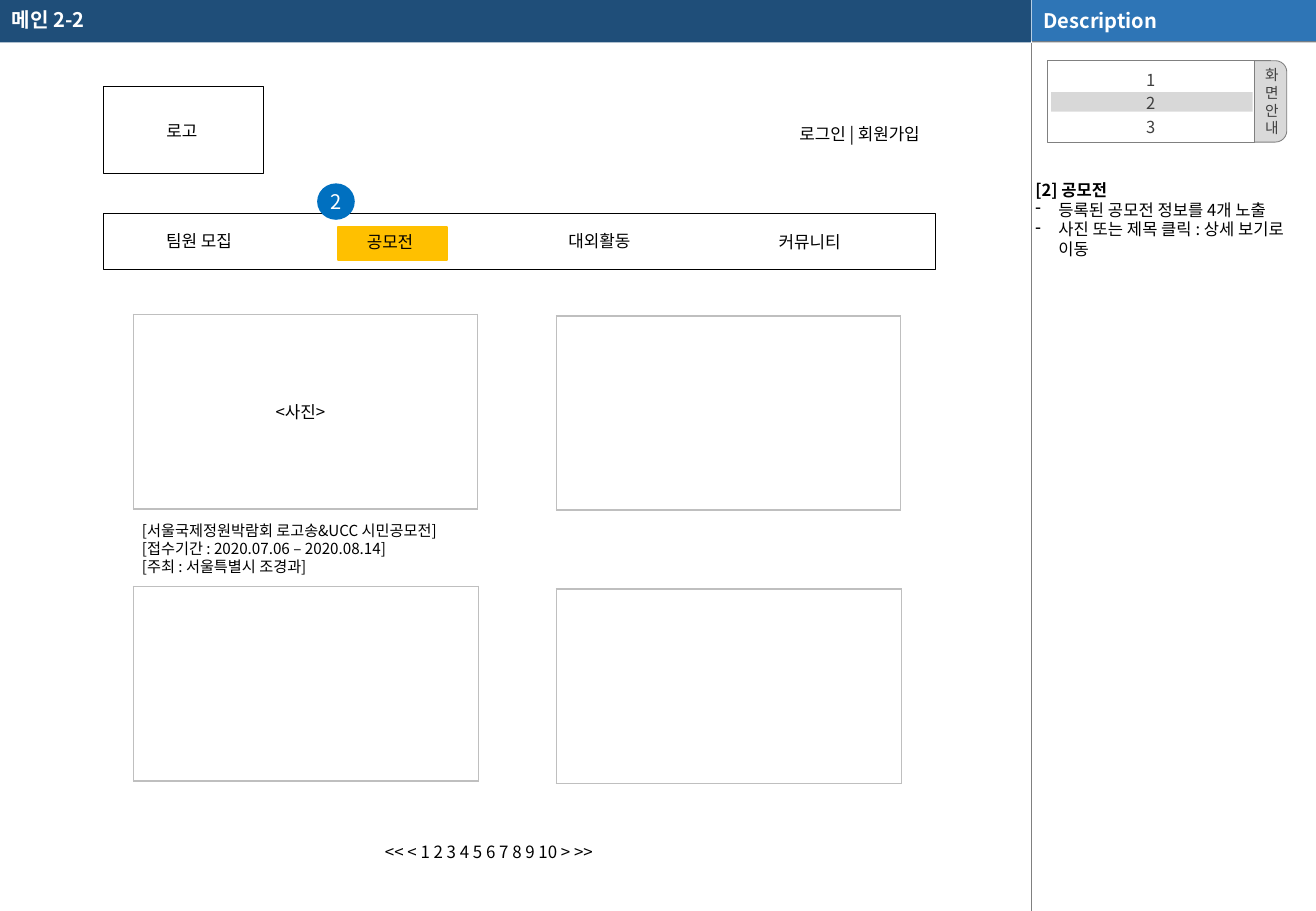
from lxml.etree import SubElement
from pptx import Presentation
from pptx.dml.color import RGBColor
from pptx.enum.shapes import MSO_CONNECTOR, MSO_SHAPE
from pptx.enum.text import MSO_ANCHOR, PP_ALIGN
from pptx.oxml.ns import qn
from pptx.util import Inches, Pt

FONT = "Noto Sans CJK KR"
BLACK = RGBColor(0x00, 0x00, 0x00)
WHITE = RGBColor(0xFF, 0xFF, 0xFF)
NAVY = RGBColor(0x1F, 0x4E, 0x79)
BLUE = RGBColor(0x2E, 0x75, 0xB6)
MARKER_BLUE = RGBColor(0x00, 0x70, 0xC0)
YELLOW = RGBColor(0xFF, 0xC0, 0x00)
DARK = RGBColor(0x40, 0x40, 0x40)
GRAY = RGBColor(0x80, 0x80, 0x80)
LIGHT = RGBColor(0xD9, 0xD9, 0xD9)
BORDER = "BFBFBF"

SLIDE_W, SLIDE_H = 10.83, 7.5
PANEL_X, HEADER_H = 8.49, 0.35

TITLE = "메인 2-2"
PANEL_TITLE = "Description"
LABELS = [  # text, left, top, width
    ("로고", 1.27, 0.94, 0.48),
    ("로그인 | 회원가입", 6.48, 0.97, 1.32),
    ("팀원 모집", 1.27, 1.85, 0.84),
    ("공모전", 2.92, 1.86, 0.68),
    ("대외활동", 4.58, 1.85, 0.81),
    ("커뮤니티", 6.31, 1.86, 0.76),
    ("<사진>", 2.17, 3.26, 0.8),
    ("<< < 1 2 3 4 5 6 7 8 9 10 > >>", 3.07, 6.88, 2.57),
]
CONTEST = ["[서울국제정원박람회 로고송&UCC 시민공모전]",
           "[접수기간 : 2020.07.06 – 2020.08.14]",
           "[주최 : 서울특별시 조경과]"]
PHOTO_FRAMES = [  # left, top, width
    (1.1, 2.59, 2.83), (4.58, 2.6, 2.83),
    (1.1, 4.83, 2.84), (4.58, 4.85, 2.84),
]
PHOTO_H = 1.6
GUIDE_PAGES = ["1", "2", "3"]
GUIDE_TAB = ["화", "면", "안", "내"]
NOTES_HEAD = "[2] 공모전"
NOTES = ["등록된 공모전 정보를 4개 노출",
         "사진 또는 제목 클릭 : 상세 보기로 이동"]


def write(sp, lines, size, color=BLACK, bold=False, align=PP_ALIGN.LEFT,
          anchor=MSO_ANCHOR.TOP, insets=(0.1, 0.05, 0.1, 0.05), spacing=None):
    tf = sp.text_frame
    tf.word_wrap = True
    tf.vertical_anchor = anchor
    tf.margin_left, tf.margin_top, tf.margin_right, tf.margin_bottom = map(Inches, insets)
    tf.text = "\n".join(lines)
    for p in tf.paragraphs:
        p.alignment = align
        p.line_spacing = spacing
        for r in p.runs:
            r.font.size, r.font.bold, r.font.name = Pt(size), bold, FONT
            r.font.color.rgb = color
            SubElement(r.font._element, qn("a:ea"), typeface=FONT)
    return tf


def add_text(x, y, w, h, lines, size, **style):
    sp = s.shapes.add_textbox(Inches(x), Inches(y), Inches(w), Inches(h))
    return write(sp, lines, size, **style)


def add_box(x, y, w, h, fill=None, line=None, line_w=0.75, kind=MSO_SHAPE.RECTANGLE):
    sp = s.shapes.add_shape(kind, Inches(x), Inches(y), Inches(w), Inches(h))
    sp.shadow.inherit = False
    if fill is None:
        sp.fill.background()
    else:
        sp.fill.solid()
        sp.fill.fore_color.rgb = fill
    if line is None:
        sp.line.fill.background()
    else:
        sp.line.color.rgb = line
        sp.line.width = Pt(line_w)
    return sp


def add_divider(y1, y2, color):
    c = s.shapes.add_connector(MSO_CONNECTOR.STRAIGHT, Inches(PANEL_X), Inches(y1),
                               Inches(PANEL_X), Inches(y2))
    c.line.color.rgb = color
    c.line.width = Pt(0.25)
    SubElement(c._element.spPr, qn("a:effectLst"))


def add_photo_frame(x, y, w):
    """Single-cell table with a thin border on every side."""
    table = s.shapes.add_table(1, 1, Inches(x), Inches(y), Inches(w), Inches(PHOTO_H)).table
    table.first_row = table.horz_banding = False
    cell = table.cell(0, 0)
    tcPr = cell._tc.get_or_add_tcPr()
    for side in ("a:lnL", "a:lnR", "a:lnT", "a:lnB"):
        ln = SubElement(tcPr, qn(side), w=str(Pt(1)))
        SubElement(SubElement(ln, qn("a:solidFill")), qn("a:srgbClr"), val=BORDER)
    cell.fill.background()


prs = Presentation()
prs.slide_width, prs.slide_height = Inches(SLIDE_W), Inches(SLIDE_H)
s = prs.slides.add_slide(prs.slide_layouts[6])

# Header and side panel
panel_w = SLIDE_W - PANEL_X
add_box(0, 0, PANEL_X, HEADER_H, NAVY)
add_box(PANEL_X, 0, panel_w, HEADER_H, GRAY)
add_divider(0, HEADER_H, WHITE)
add_divider(HEADER_H, SLIDE_H, GRAY)
write(add_box(PANEL_X, 0, panel_w, 0.34, BLUE), [PANEL_TITLE], 11.9, color=WHITE,
      bold=True, anchor=MSO_ANCHOR.MIDDLE)
add_text(0, 0, 8.25, HEADER_H, [TITLE], 11.9, color=WHITE, bold=True,
         anchor=MSO_ANCHOR.MIDDLE, spacing=0.9)

# Wireframe
add_box(0.85, 0.71, 1.32, 0.72, line=BLACK)
add_box(2.78, 1.87, 0.9, 0.27, YELLOW, YELLOW, 1)
add_box(0.85, 1.76, 6.85, 0.46, line=BLACK)
for frame in PHOTO_FRAMES:
    add_photo_frame(*frame)
for text, x, y, w in LABELS:
    add_text(x, y, w, 0.27, [text], 10)
add_text(1.07, 4.24, 2.87, 0.56, CONTEST, 9)
marker = add_box(2.61, 1.51, 0.31, 0.3, MARKER_BLUE, kind=MSO_SHAPE.OVAL)
write(marker, ["2"], 11.9, color=WHITE, align=PP_ALIGN.CENTER,
      anchor=MSO_ANCHOR.MIDDLE, insets=(0, 0, 0, 0))

# Screen guide
tab = add_box(10.09, 0.5, 0.5, 0.67, LIGHT, GRAY, 0.5, MSO_SHAPE.ROUNDED_RECTANGLE)
tab.adjustments[0] = 0.188
write(tab, GUIDE_TAB, 8.7, color=DARK, align=PP_ALIGN.RIGHT,
      anchor=MSO_ANCHOR.MIDDLE, insets=(0, 0, 0.04, 0))
write(add_box(8.62, 0.5, 1.7, 0.67, WHITE, GRAY, 0.5), GUIDE_PAGES, 9.8, color=DARK,
      align=PP_ALIGN.CENTER, anchor=MSO_ANCHOR.MIDDLE, insets=(0.04,) * 4, spacing=1.2)
highlight = add_box(8.65, 0.76, 1.66, 0.16, DARK)
tint = highlight._element.spPr.find(qn("a:solidFill")).find(qn("a:srgbClr"))
SubElement(tint, qn("a:alpha"), val="20000")

# Notes
tf = add_text(8.48, 1.48, 2.35, 0.7, [NOTES_HEAD] + NOTES, 9.8, insets=(0.04, 0, 0.04, 0))
head, *items = tf.paragraphs
head.runs[0].font.bold = True
for p in items:
    pPr = p._p.get_or_add_pPr()
    pPr.set("marL", str(Inches(0.19)))
    pPr.set("indent", str(-Inches(0.19)))
    SubElement(pPr, qn("a:buChar"), char="-")

prs.save("out.pptx")
